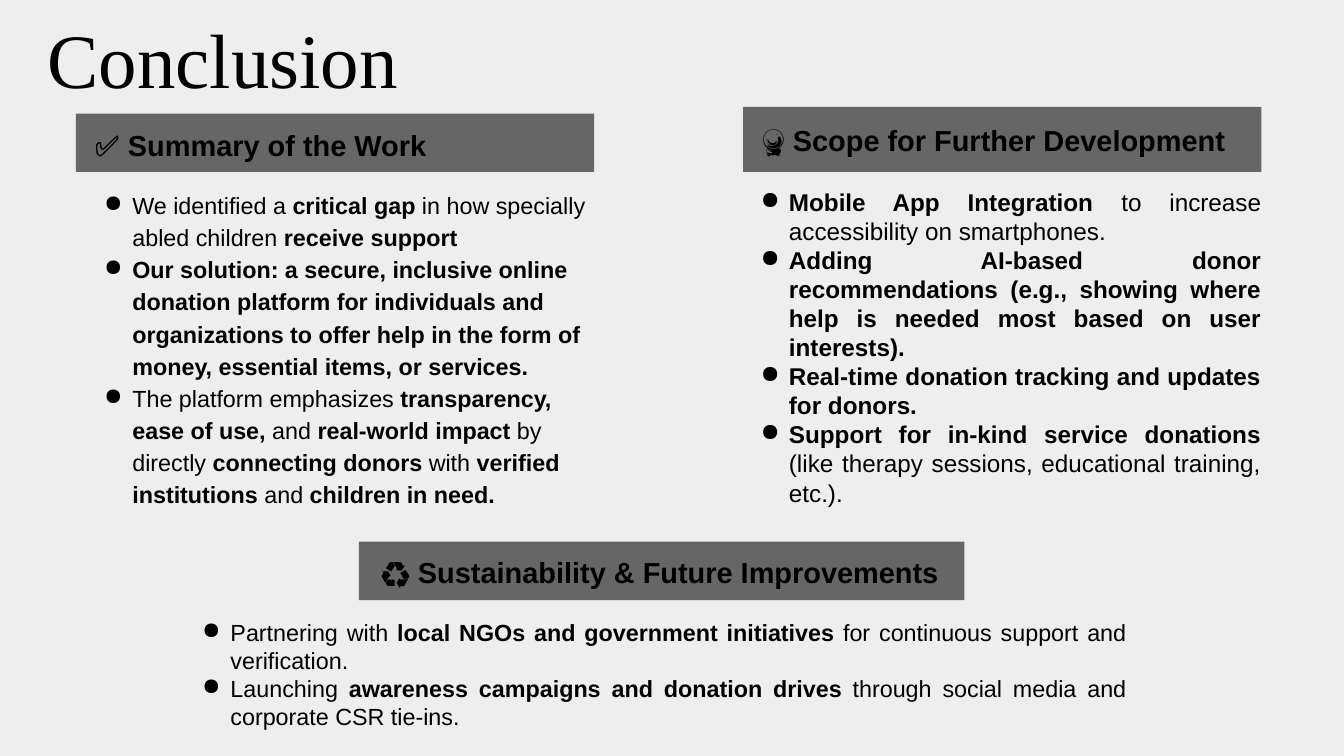
from lxml import etree
from pptx import Presentation
from pptx.dml.color import RGBColor
from pptx.enum import shapes, text
from pptx.oxml.ns import qn
from pptx.util import Inches, Pt

COLORS = {"page": "EEEEEE", "band": "666666", "ink": "000000"}

deck = Presentation()
deck.slide_width, deck.slide_height = Inches(20), Inches(11.25)
COL, ROW = deck.slide_width / 100, deck.slide_height / 100
page = deck.slides.add_slide(deck.slide_layouts[6])
page.background.fill.solid()
page.background.fill.fore_color.rgb = RGBColor.from_string(COLORS["page"])


def grid(left, top, width, height):
    """Turn columns and rows (hundredths of the slide) into lengths."""
    return int(left * COL), int(top * ROW), int(width * COL), int(height * ROW)


def add_text(place, lines, size, font="Arial", spacing=None, align=None, bullets=False):
    """Add a text box; parts between ** marks are bold."""
    frame = page.shapes.add_textbox(*grid(*place)).text_frame
    frame.word_wrap = True
    frame.margin_left = frame.margin_right = frame.margin_top = frame.margin_bottom = 0
    for number, line in enumerate(lines):
        para = frame.paragraphs[0] if number == 0 else frame.add_paragraph()
        para.alignment = align
        para.line_spacing = spacing
        if bullets:
            props = para._p.get_or_add_pPr()
            props.set("marL", str(Inches(0.5)))
            props.set("indent", str(Inches(-0.42)))
            color = etree.SubElement(props, qn("a:buClr"))
            etree.SubElement(color, qn("a:srgbClr"), val=COLORS["ink"])
            etree.SubElement(props, qn("a:buChar"), char="●")
        para.font.name, para.font.size = font, Pt(size)
        para.font.color.rgb = RGBColor.from_string(COLORS["ink"])
        for part, words in enumerate(line.split("**")):
            if words:
                span = para.add_run()
                span.text = words
                span.font.bold = part % 2 == 1


# Title
add_text((3.55, 2.58, 30.65, 11.56), ["Conclusion"], 82.4, "Times New Roman", 0.94)

# Heading bands: band place, label place, label
headings = [
    ((5.65, 15.02, 38.55, 7.73), (7.05, 16.89, 28.65, 4.62), "✅ **Summary of the Work**"),
    ((55.3, 14.13, 38.55, 8.62), (56.7, 16.18, 36.35, 4.62),
     "🔮 **Scope for Further Development**"),
    ((26.7, 71.64, 45.05, 7.73), (28.35, 73.42, 42.45, 4.62),
     "♻️ **Sustainability & Future Improvements**"),
]
for band_place, label_place, label in headings:
    band = page.shapes.add_shape(shapes.MSO_SHAPE.RECTANGLE, *grid(*band_place))
    band.shadow.inherit = False
    band.fill.solid()
    band.fill.fore_color.rgb = RGBColor.from_string(COLORS["band"])
    band.line.fill.background()
    add_text(label_place, [label], 31)

# Bulleted lists: place, size, line spacing, alignment, lines
justified = text.PP_ALIGN.JUSTIFY
lists = [
    ((7.35, 24.71, 37.65, 53.33), 25, 1.15, None, [
        "We identified a **critical gap **in how specially abled children** receive support**",
        "**Our solution: a secure, inclusive online donation platform for individuals and "
        "organizations to offer help in the form of money, essential items, or services.**",
        "The platform emphasizes** transparency, ease of use, **and** real-world impact **"
        "by directly** connecting donors **with** verified institutions **and"
        "** children in need.**",
    ]),
    ((56.2, 24.71, 37.65, 53.87), 26, None, justified, [
        "**Mobile App Integration **to increase accessibility on smartphones.",
        "**Adding AI-based donor recommendations (e.g., showing where help is needed most "
        "based on user interests).**",
        "**Real-time donation tracking and updates for donors.**",
        "**Support for in-kind service donations **(like therapy sessions, educational "
        "training, etc.).",
    ]),
    ((14.65, 81.78, 69.15, 18.22), 25, None, justified, [
        "Partnering with **local NGOs and government initiatives** for continuous support "
        "and verification.",
        "Launching **awareness campaigns and donation drives** through social media and "
        "corporate CSR tie-ins.",
    ]),
]
for place, size, spacing, align, lines in lists:
    add_text(place, lines, size, spacing=spacing, align=align, bullets=True)

deck.save("out.pptx")
